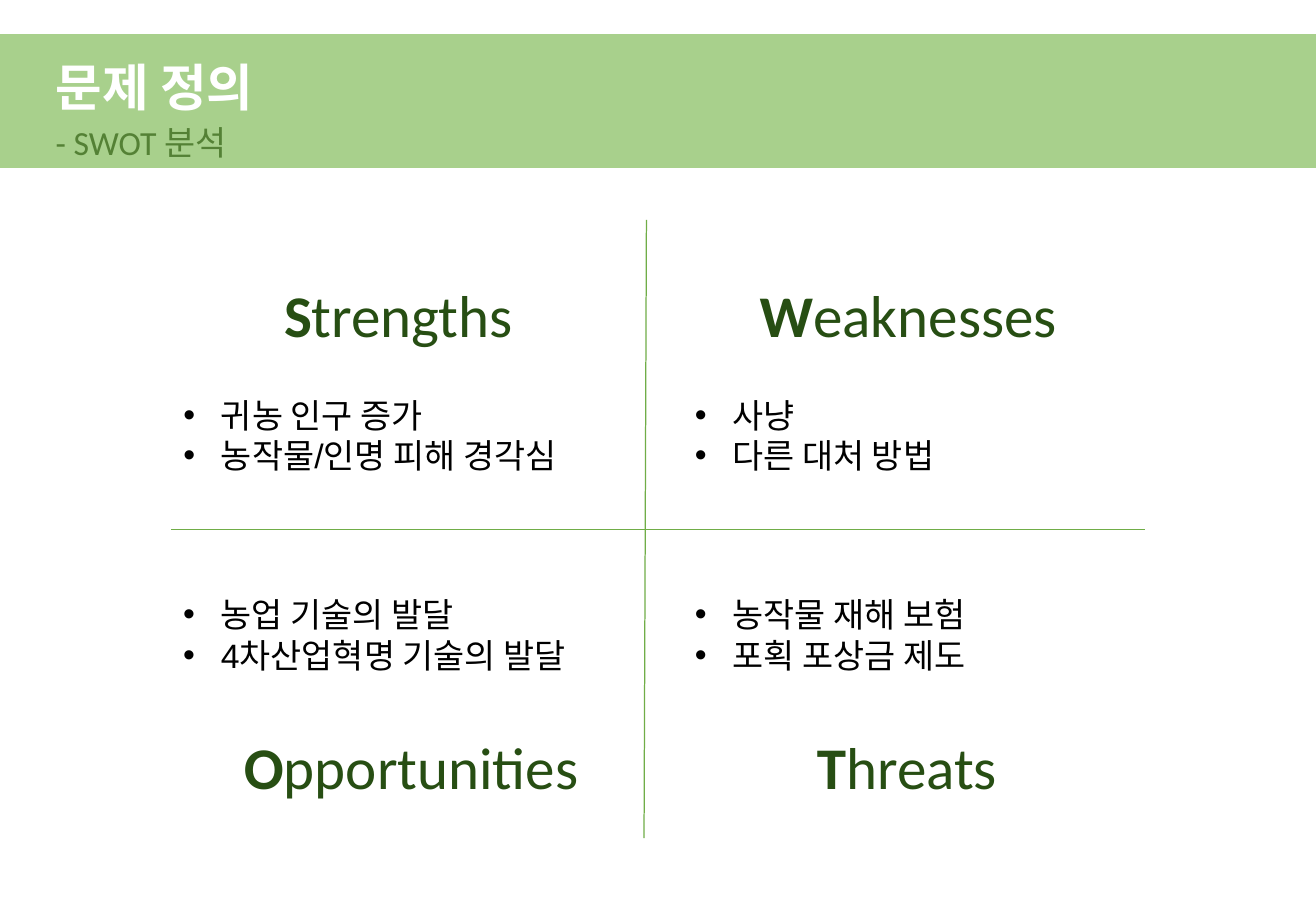
from dataclasses import dataclass

from lxml import etree
from pptx import Presentation
from pptx.dml.color import RGBColor
from pptx.enum.shapes import MSO_CONNECTOR, MSO_SHAPE
from pptx.enum.text import MSO_AUTO_SIZE, PP_ALIGN
from pptx.oxml.ns import qn
from pptx.slide import Slide
from pptx.text.text import TextFrame, _Paragraph
from pptx.util import Inches, Pt

STRAIGHT = MSO_CONNECTOR.STRAIGHT
PROCESS = MSO_SHAPE.FLOWCHART_PROCESS
FIT_TEXT = MSO_AUTO_SIZE.SHAPE_TO_FIT_TEXT
CENTER = PP_ALIGN.CENTER


@dataclass(frozen=True)
class Theme:
    band: str = "A8D08C"
    title: str = "FFFFFF"
    subtitle: str = "548135"
    heading: str = "274E13"
    body: str = "000000"
    axis: str = "70AD47"
    title_size: int = 30
    heading_size: int = 35
    body_size: int = 20
    axis_width: float = 0.75
    latin_font: str = "Calibri"
    korean_font: str = "Arial"


@dataclass(frozen=True)
class Quadrant:
    heading: str
    heading_left: float
    heading_top: float
    heading_width: float
    points: tuple[str, ...]
    points_left: float
    points_top: float
    points_width: float


@dataclass(frozen=True)
class Axis:
    start: tuple[float, float]
    end: tuple[float, float]


THEME = Theme()
PAGE_WIDTH, PAGE_HEIGHT = 10.83, 7.5
LEFT, RIGHT = 1.41, 5.62
UPPER_HEADING, LOWER_HEADING = 2.19, 5.91
UPPER_POINTS, LOWER_POINTS = 3.2, 4.84

QUADRANTS = (
    Quadrant("Strengths", 2.15, UPPER_HEADING, 2.26,
             ("귀농 인구 증가", "농작물/인명 피해 경각심"), LEFT, UPPER_POINTS, 3.89),
    Quadrant("Weaknesses", 6.09, UPPER_HEADING, 2.77,
             ("사냥", "다른 대처 방법"), RIGHT, UPPER_POINTS, 3.58),
    Quadrant("Opportunities", 1.89, LOWER_HEADING, 2.99,
             ("농업 기술의 발달", "4차산업혁명 기술의 발달"), LEFT, LOWER_POINTS, 3.74),
    Quadrant("Threats", 6.58, LOWER_HEADING, 1.77,
             ("농작물 재해 보험", "포획 포상금 제도"), RIGHT, LOWER_POINTS, 3.58),
)
AXES = (Axis((5.32, 1.81), (5.3, 6.9)), Axis((1.41, 4.36), (9.42, 4.36)))


def add_band(page: Slide) -> None:
    band = page.shapes.add_shape(
        PROCESS, 0, Inches(0.28), Inches(PAGE_WIDTH), Inches(1.1))
    band.shadow.inherit = False
    band.fill.solid()
    band.fill.fore_color.rgb = RGBColor.from_string(THEME.band)
    band.line.fill.background()


def add_axis(page: Slide, axis: Axis) -> None:
    line = page.shapes.add_connector(
        STRAIGHT, *map(Inches, axis.start), *map(Inches, axis.end))
    line.line.color.rgb = RGBColor.from_string(THEME.axis)
    line.line.width = Pt(THEME.axis_width)
    etree.SubElement(line._element.spPr, qn("a:effectLst"))


def add_text_frame(page: Slide, left: float, top: float, width: float,
                   height: float, inset: float = 0.05) -> TextFrame:
    box = page.shapes.add_textbox(*map(Inches, (left, top, width, height)))
    frame = box.text_frame
    frame.word_wrap = True
    frame.auto_size = FIT_TEXT
    frame.margin_left = frame.margin_right = Inches(0.1)
    frame.margin_top = frame.margin_bottom = Inches(inset)
    return frame


def style_paragraph(para: _Paragraph, size: int, font: str, color: str) -> None:
    para.font.size = Pt(size)
    para.font.name = font
    para.font.color.rgb = RGBColor.from_string(color)


def add_bullet(para: _Paragraph) -> None:
    properties = para._p.get_or_add_pPr()
    properties.set("marL", str(Inches(0.31)))
    properties.set("indent", str(Inches(-0.35)))
    color = etree.SubElement(properties, qn("a:buClr"))
    etree.SubElement(color, qn("a:srgbClr"), val=THEME.body)
    etree.SubElement(properties, qn("a:buFont"), typeface=THEME.korean_font)
    etree.SubElement(properties, qn("a:buChar"), char="•")


def add_titles(page: Slide) -> None:
    title = add_text_frame(page, 0.36, 0.41, 2.39, 0.61).paragraphs[0]
    title.text = "문제 정의"
    style_paragraph(title, THEME.title_size, THEME.korean_font, THEME.title)
    title.font.bold = True
    subtitle = add_text_frame(page, 0.36, 0.95, 2.12, 0.44).paragraphs[0]
    subtitle.text = "- SWOT 분석"
    style_paragraph(subtitle, THEME.body_size, THEME.latin_font, THEME.subtitle)


def add_quadrant(page: Slide, quadrant: Quadrant) -> None:
    heading = add_text_frame(page, quadrant.heading_left, quadrant.heading_top,
                             quadrant.heading_width, 0.79, 0.1).paragraphs[0]
    heading.alignment = CENTER
    style_paragraph(heading, THEME.heading_size, THEME.latin_font, THEME.heading)
    for text, bold in ((quadrant.heading[0], True), (quadrant.heading[1:], False)):
        span = heading.add_run()
        span.text = text
        span.font.bold = bold

    frame = add_text_frame(page, quadrant.points_left, quadrant.points_top,
                           quadrant.points_width, 0.77)
    frame.text = "\n".join(quadrant.points)
    for para in frame.paragraphs:
        add_bullet(para)
        style_paragraph(para, THEME.body_size, THEME.korean_font, THEME.body)


def main() -> None:
    deck = Presentation()
    deck.slide_width = Inches(PAGE_WIDTH)
    deck.slide_height = Inches(PAGE_HEIGHT)
    page = deck.slides.add_slide(deck.slide_layouts[6])
    add_band(page)
    add_titles(page)
    for axis in AXES:
        add_axis(page, axis)
    for quadrant in QUADRANTS:
        add_quadrant(page, quadrant)
    deck.save("out.pptx")


if __name__ == "__main__":
    main()
